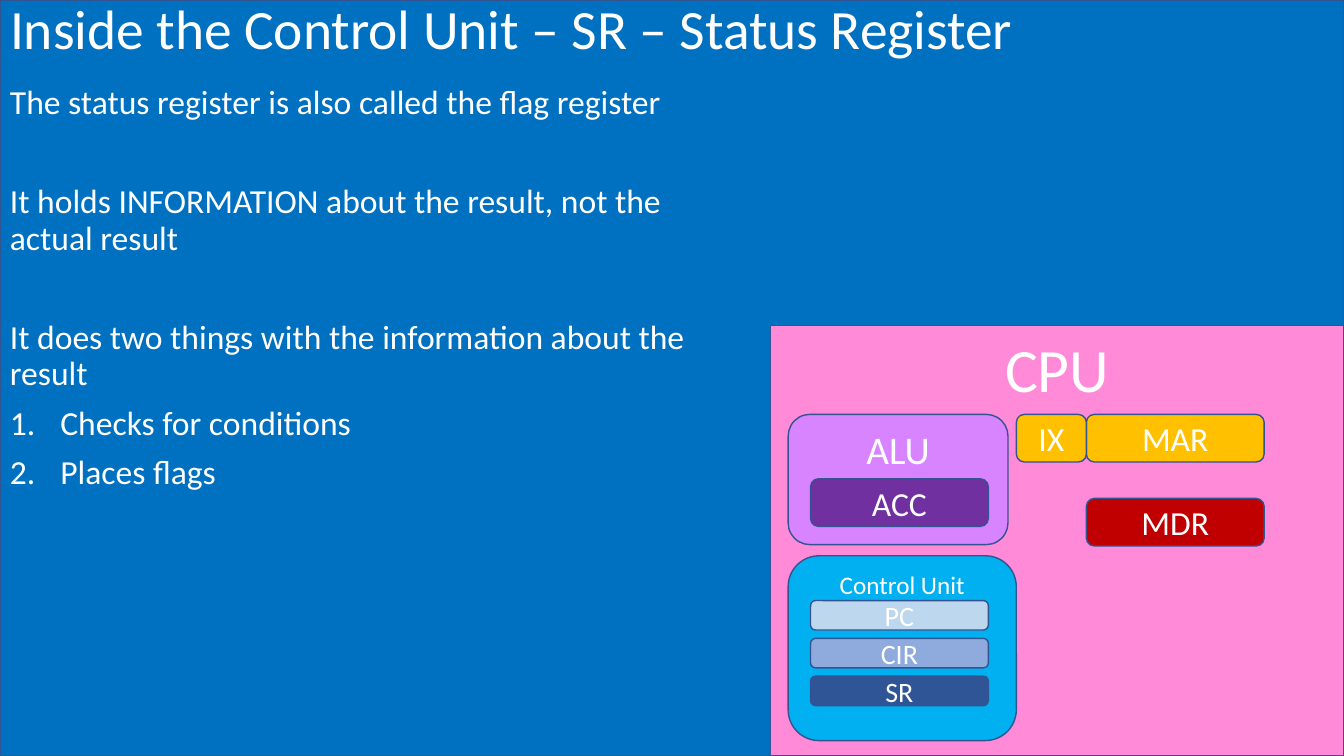
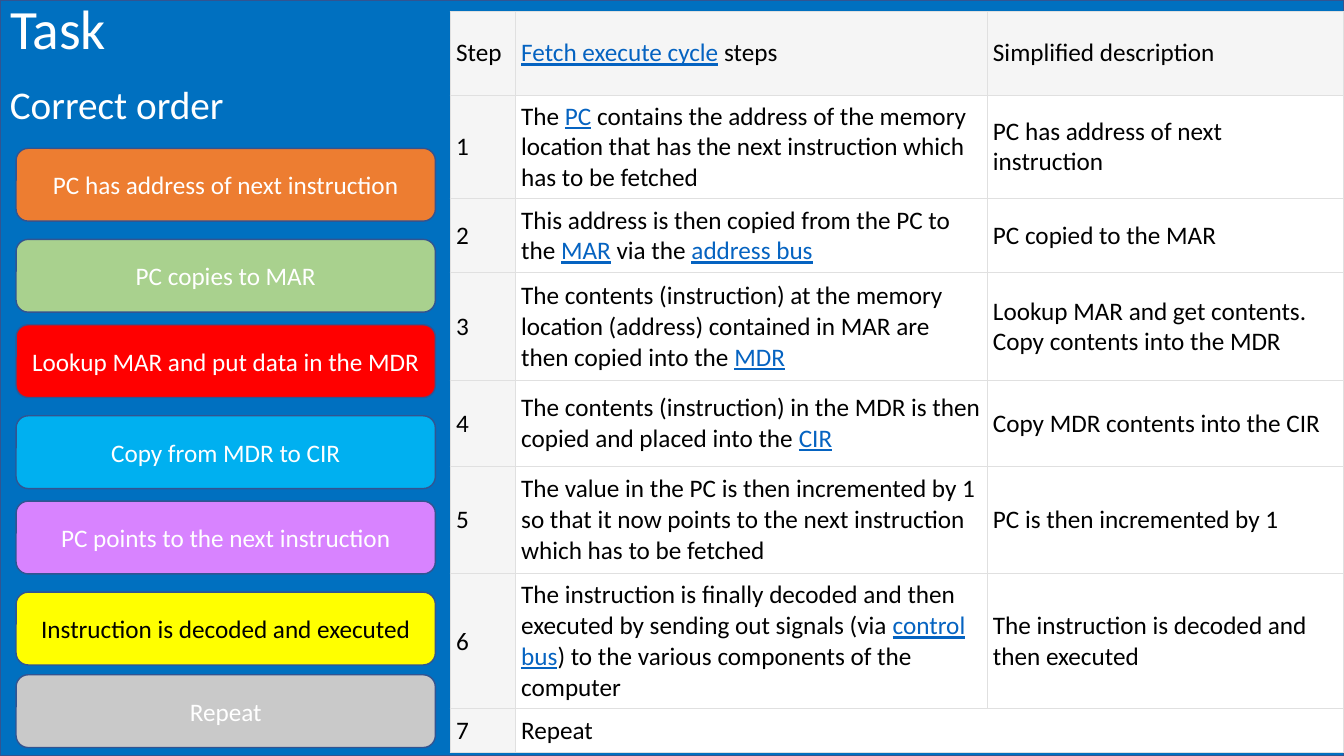
import pptx
import pptx.dml.color
import pptx.enum.shapes
import pptx.enum.text
import pptx.oxml
import pptx.oxml.ns
import pptx.util

Pt = pptx.util.Pt
ALIGN = pptx.enum.text.PP_ALIGN
ANCHOR = pptx.enum.text.MSO_ANCHOR
SHAPE = pptx.enum.shapes.MSO_SHAPE
WIDE, HIGH = 960, 540

BLUE, EDGE, WHITE, BLACK = "0070C0", "325491", "FFFFFF", "000000"
LINK, GRID, PALE = "0563C1", "E0E0E0", "F5F5F5"


def color(code):
    return pptx.dml.color.RGBColor.from_string(code)


class Deck:
    """Holds the shared style and the current slide."""

    font = "Calibri"

    def __init__(self):
        self.file = pptx.Presentation()
        self.file.slide_width, self.file.slide_height = Pt(WIDE), Pt(HIGH)
        self.layout = self.file.slide_layouts[5]
        self.slide = None

    def start(self, title):
        first = self.slide is None
        self.slide = self.file.slides.add_slide(self.layout)
        if first:
            self.back()
        head = self.slide.shapes.title
        head.left, head.top, head.width, head.height = Pt(0), Pt(0), Pt(WIDE), Pt(45)
        frame = head.text_frame
        frame.text = title
        frame.auto_size = pptx.enum.text.MSO_AUTO_SIZE.NONE
        frame.vertical_anchor = ANCHOR.MIDDLE
        para = frame.paragraphs[0]
        para.alignment, para.line_spacing = ALIGN.LEFT, 0.9
        self.style(para, 39.6)

    def back(self):
        """Put the blue page on the layout, behind every slide."""
        page = self.box("", 0, 0, WIDE, HIGH, BLUE, shape=SHAPE.RECTANGLE)
        self.layout.shapes.element.insert(2, page.element)

    def style(self, para, size, code=WHITE):
        for run in para.runs:
            run.font.name, run.font.size = self.font, Pt(size)
            run.font.color.rgb = color(code)

    def box(self, text, left, top, width, height, fill, size=24, code=WHITE,
            anchor=ANCHOR.MIDDLE, shape=SHAPE.ROUNDED_RECTANGLE):
        item = self.slide.shapes.add_shape(
            shape, Pt(left), Pt(top), Pt(width), Pt(height))
        item.shadow.inherit = False
        item.fill.solid()
        item.fill.fore_color.rgb = color(fill)
        item.line.color.rgb, item.line.width = color(EDGE), Pt(1)
        if text:
            frame = item.text_frame
            frame.text, frame.vertical_anchor = text, anchor
            frame.word_wrap = True
            frame.paragraphs[0].alignment = ALIGN.CENTER
            self.style(frame.paragraphs[0], size, code)
        return item

    def body(self, lines, width, size):
        """Write lines of (text, space before, numbered)."""
        item = self.slide.shapes.add_textbox(
            Pt(0), Pt(57.6), Pt(width), Pt(HIGH - 57.6))
        frame = item.text_frame
        frame.word_wrap = True
        for n, (text, space, listed) in enumerate(lines):
            para = frame.add_paragraph() if n else frame.paragraphs[0]
            para.text = text
            if listed:
                self.number(para)
            para.line_spacing = 0.9
            para.space_before = Pt(space)
            self.style(para, size)

    def number(self, para):
        props = para._p.get_or_add_pPr()
        props.set("marL", str(Pt(36)))
        props.set("indent", str(-Pt(36)))
        props.append(pptx.oxml.parse_xml(
            f'<a:buAutoNum {pptx.oxml.ns.nsdecls("a")} type="arabicPeriod"/>'))

    def table(self, rows, left, top, widths, heights):
        grid = self.slide.shapes.add_table(
            len(rows), len(widths), Pt(left), Pt(top),
            Pt(sum(widths)), Pt(sum(heights))).table
        grid.first_row = grid.horz_banding = False
        for col, width in zip(grid.columns, widths):
            col.width = Pt(width)
        for r, (row, height) in enumerate(zip(rows, heights)):
            grid.rows[r].height = Pt(height)
            for c, text in enumerate(row):
                self.cell(grid.cell(r, c), text, WHITE if r and c else PALE)
        return grid

    def cell(self, cell, text, fill):
        """Fill a cell; text between bars is shown as a link."""
        props = cell._tc.get_or_add_tcPr()
        for side in "LRTB":
            props.append(pptx.oxml.parse_xml(
                f'<a:ln{side} {pptx.oxml.ns.nsdecls("a")} w="{Pt(0.75)}">'
                f'<a:solidFill><a:srgbClr val="{GRID}"/></a:solidFill></a:ln{side}>'))
        cell.fill.solid()
        cell.fill.fore_color.rgb = color(fill)
        cell.vertical_anchor = ANCHOR.MIDDLE
        cell.margin_left = cell.margin_right = Pt(4.3)
        cell.margin_top = cell.margin_bottom = Pt(4.3)
        para = cell.text_frame.paragraphs[0]
        parts = text.split("|")
        for part in parts:
            para.add_run().text = part
        self.style(para, 18, BLACK)
        for run in para.runs[1::2]:
            run.font.color.rgb, run.font.underline = color(LINK), True
        for run, part in zip(para.runs, parts):
            if not part:
                para._p.remove(run._r)


def status(deck):
    deck.start("Inside the Control Unit – SR – Status Register")
    deck.body([
        ("The status register is also called the flag register", 0, False),
        ("It holds INFORMATION about the result, not the actual result", 45, False),
        ("It does two things with the information about the result", 45, False),
        ("Checks for conditions", 9.3, True),
        ("Places flags", 9.3, True),
    ], 536.5, 24)

    cpu = deck.box("CPU", 550.5, 232.5, 409.5, 307.5, "FF8AD8", 44, anchor=ANCHOR.TOP)
    cpu.adjustments[0] = 0
    deck.box("ALU", 563, 296, 157, 93, "D883FF", 28, anchor=ANCHOR.TOP)
    for text, left, top, width, fill in [
        ("ACC", 579, 342, 127, "7030A0"),
        ("MAR", 776, 296, 127, "FFC000"),
        ("MDR", 776, 356, 127, "C00000"),
        ("IX", 726, 296, 50, "FFC000"),
    ]:
        deck.box(text, left, top, width, 34, fill)
    deck.box("Control Unit", 563, 397, 163, 132, "00B0F0", 18, anchor=ANCHOR.TOP)
    parts = [("PC", "BDD7EE"), ("CIR", "8FAADC"), ("SR", "2F5597")]
    for n, (text, fill) in enumerate(parts):
        deck.box(text, 579, 429 + 27 * n, 127, 21, fill, 20)


def task(deck):
    deck.start("Task")
    deck.body([("Correct order", 0, False)], WIDE, 28)
    for text, top, fill, code in [
        ("PC has address of next instruction", 106, "ED7D31", WHITE),
        ("PC copies to MAR", 171, "A9D18E", WHITE),
        ("Lookup MAR and put data in the MDR", 232, "FF0000", WHITE),
        ("Copy from MDR to CIR", 297, "00B0F0", WHITE),
        ("PC points to the next instruction", 358, "D883FF", WHITE),
        ("Instruction is decoded and executed", 423, "FFFF00", BLACK),
        ("Repeat", 482, "C9C9C9", WHITE),
    ]:
        deck.box(text, 11.5, top, 299.5, 52, fill, 18, code)

    rows = [
        ("Step", "|Fetch execute cycle| steps", "Simplified description"),
        ("1", "The |PC| contains the address of the memory location that has "
         "the next instruction which has to be fetched",
         "PC has address of next instruction"),
        ("2", "This address is then copied from the PC to the |MAR| via the "
         "|address bus|", "PC copied to the MAR"),
        ("3", "The contents (instruction) at the memory location (address) "
         "contained in MAR are then copied into the |MDR|",
         "Lookup MAR and get contents. Copy contents into the MDR"),
        ("4", "The contents (instruction) in the MDR is then copied and placed "
         "into the |CIR|", "Copy MDR contents into the CIR"),
        ("5", "The value in the PC is then incremented by 1 so that it now "
         "points to the next instruction which has to be fetched",
         "PC is then incremented by 1"),
        ("6", "The instruction is finally decoded and then executed by sending "
         "out signals (via |control bus|) to the various components of the "
         "computer", "The instruction is decoded and then executed"),
        ("7", "Repeat", ""),
    ]
    grid = deck.table(rows, 321.5, 8, [46.5, 337, 255],
                      [60, 74, 53, 77, 61, 77, 96.5, 31])
    grid.cell(7, 1).merge(grid.cell(7, 2))


def main():
    deck = Deck()
    status(deck)
    task(deck)
    deck.file.save("out.pptx")


if __name__ == "__main__":
    main()
